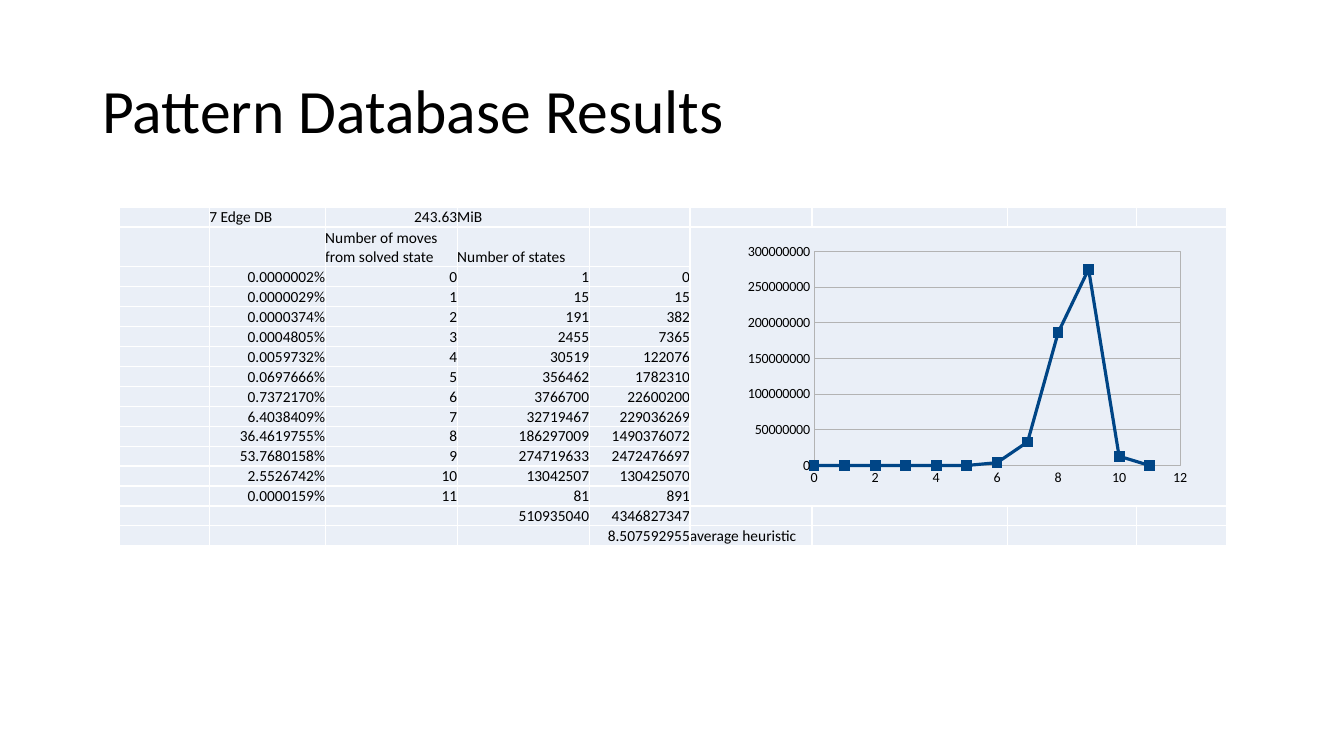
from dataclasses import dataclass

from lxml.etree import _Element
from pptx import Presentation
from pptx.chart.axis import ValueAxis
from pptx.chart.data import XyChartData
from pptx.dml.color import RGBColor
from pptx.enum.chart import XL_CHART_TYPE, XL_MARKER_STYLE, XL_TICK_MARK
from pptx.enum.text import MSO_ANCHOR, PP_ALIGN
from pptx.oxml import parse_xml
from pptx.oxml.ns import nsdecls, qn
from pptx.slide import Slide
from pptx.table import _Cell
from pptx.text.text import Font
from pptx.util import Pt

COLORS = {"text": "000000", "cell": "EAEFF7", "border": "FFFFFF", "axis": "B3B3B3", "states": "004586"}
FONT = "Calibri"
STATES = [1, 15, 191, 2455, 30519, 356462, 3766700, 32719467, 186297009, 274719633, 13042507, 81]
COLUMN_WIDTHS = [64.1, 82.8, 94.3, 94.3, 72, 87.1, 139.7, 92.2, 64.1]
ROW_HEIGHT = 14.23


@dataclass
class Entry:
    row: int
    column: int
    text: str
    align: PP_ALIGN = PP_ALIGN.RIGHT


@dataclass
class AxisScale:
    axis: ValueAxis
    maximum: float
    step: float
    gridlines: bool


def color(name: str) -> RGBColor:
    return RGBColor.from_string(COLORS[name])


def style_font(font: Font, size: float) -> None:
    font.name = FONT
    font.size = Pt(size)
    font.color.rgb = color("text")


def result_entries() -> list[Entry]:
    total = sum(STATES)
    weighted = [moves * count for moves, count in enumerate(STATES)]
    entries = [
        Entry(0, 1, "7 Edge DB", PP_ALIGN.LEFT),
        Entry(0, 2, "243.63"),
        Entry(0, 3, "MiB", PP_ALIGN.LEFT),
        Entry(1, 2, "Number of moves from solved state", PP_ALIGN.LEFT),
        Entry(1, 3, "Number of states", PP_ALIGN.LEFT),
        Entry(14, 3, str(total)),
        Entry(14, 4, str(sum(weighted))),
        Entry(15, 4, f"{sum(weighted) / total:.9f}"),
        Entry(15, 5, "average heuristic", PP_ALIGN.LEFT),
    ]
    for moves, count in enumerate(STATES):
        values = (f"{100 * count / total:.7f}%", moves, count, weighted[moves])
        entries += [Entry(moves + 2, column, str(value)) for column, value in enumerate(values, 1)]
    return entries


def style_cell(cell: _Cell) -> None:
    cell.margin_left = cell.margin_right = cell.margin_top = cell.margin_bottom = 0
    cell.vertical_anchor = MSO_ANCHOR.BOTTOM
    properties = cell._tc.get_or_add_tcPr()
    for side in ("lnL", "lnR", "lnT", "lnB"):
        properties.append(parse_xml(
            f'<a:{side} {nsdecls("a")} w="{Pt(1)}"><a:solidFill>'
            f'<a:srgbClr val="{COLORS["border"]}"/></a:solidFill></a:{side}>'))
    cell.fill.solid()
    cell.fill.fore_color.rgb = color("cell")
    cell.text_frame.paragraphs[0]._p.get_or_add_endParaRPr().set("sz", "1100")


def add_title(slide: Slide) -> None:
    title = slide.shapes.add_textbox(Pt(66), Pt(28.8), Pt(828), Pt(104.4)).text_frame
    title.word_wrap = True
    title.vertical_anchor = MSO_ANCHOR.MIDDLE
    title.text = "Pattern Database Results"
    title.paragraphs[0].line_spacing = 0.9
    style_font(title.paragraphs[0].runs[0].font, 44)


def add_results(slide: Slide) -> None:
    row_count = len(STATES) + 4
    results = slide.shapes.add_table(
        row_count, len(COLUMN_WIDTHS), Pt(85.4), Pt(147.9),
        Pt(sum(COLUMN_WIDTHS)), Pt(ROW_HEIGHT * (row_count + 1))).table
    results.first_row = results.horz_banding = False
    for column, width in zip(results.columns, COLUMN_WIDTHS):
        column.width = Pt(width)
    for index, row in enumerate(results.rows):
        row.height = Pt(ROW_HEIGHT * (2 if index == 1 else 1))
    for cell in results.iter_cells():
        style_cell(cell)
    results.cell(1, 5).merge(results.cell(13, 8))
    for entry in result_entries():
        frame = results.cell(entry.row, entry.column).text_frame
        frame.text = entry.text
        frame.paragraphs[0].alignment = entry.align
        style_font(frame.paragraphs[0].runs[0].font, 11)


def style_axis(scale: AxisScale) -> None:
    axis = scale.axis
    axis.minimum_scale = 0
    axis.maximum_scale = scale.maximum
    axis.major_unit = scale.step
    axis.major_tick_mark = axis.minor_tick_mark = XL_TICK_MARK.NONE
    axis.has_major_gridlines = scale.gridlines
    lines = [axis.format.line]
    if scale.gridlines:
        lines.append(axis.major_gridlines.format.line)
    for line in lines:
        line.color.rgb = color("axis")
        line.width = Pt(0.75)
    style_font(axis.tick_labels.font, 10)
    axis.tick_labels.number_format = "0"
    axis.tick_labels.number_format_is_linked = False


def place_plot(plot_area: _Element) -> None:
    for layout in plot_area.findall(qn("c:layout")):
        plot_area.remove(layout)
    position = {"x": 0.16, "y": 0.05, "w": 0.8, "h": 0.85}
    parts = "".join(f'<c:{key} val="{value}"/>' for key, value in position.items())
    plot_area.insert(0, parse_xml(
        f'<c:layout {nsdecls("c")}><c:manualLayout><c:layoutTarget val="inner"/>'
        f'<c:xMode val="edge"/><c:yMode val="edge"/>{parts}</c:manualLayout></c:layout>'))
    plot_area.append(parse_xml(
        f'<c:spPr {nsdecls("c", "a")}><a:noFill/><a:ln w="{Pt(0.75)}"><a:solidFill>'
        f'<a:srgbClr val="{COLORS["axis"]}"/></a:solidFill></a:ln></c:spPr>'))


def add_distribution(slide: Slide) -> None:
    distribution = XyChartData()
    points = distribution.add_series("Series 1")
    for moves, count in enumerate(STATES):
        points.add_data_point(moves, round(count, -6))
    chart = slide.shapes.add_chart(
        XL_CHART_TYPE.XY_SCATTER_LINES, Pt(529.2), Pt(170.6), Pt(326.9), Pt(180), distribution).chart
    chart.has_legend = chart.has_title = False
    style_font(chart.font, 10)
    chart._chartSpace.find(qn("c:chart")).addnext(parse_xml(
        f'<c:spPr {nsdecls("c", "a")}><a:noFill/><a:ln><a:noFill/></a:ln></c:spPr>'))
    place_plot(chart._chartSpace.chart.plotArea)
    for scale in (AxisScale(chart.category_axis, 12, 2, False),
                  AxisScale(chart.value_axis, 300_000_000, 50_000_000, True)):
        style_axis(scale)
    plot = chart.plots[0]
    plot.vary_by_categories = False
    states = plot.series[0]
    states.smooth = False
    states.format.line.color.rgb = color("states")
    states.format.line.width = Pt(2.27)
    states.marker.style = XL_MARKER_STYLE.SQUARE
    states.marker.size = 7
    states.marker.format.fill.solid()
    states.marker.format.fill.fore_color.rgb = color("states")
    states.marker.format.line.color.rgb = color("states")


def main() -> None:
    presentation = Presentation()
    presentation.slide_width, presentation.slide_height = Pt(960), Pt(540)
    slide = presentation.slides.add_slide(presentation.slide_layouts[6])
    add_title(slide)
    add_results(slide)
    add_distribution(slide)
    presentation.save("out.pptx")


if __name__ == "__main__":
    main()
